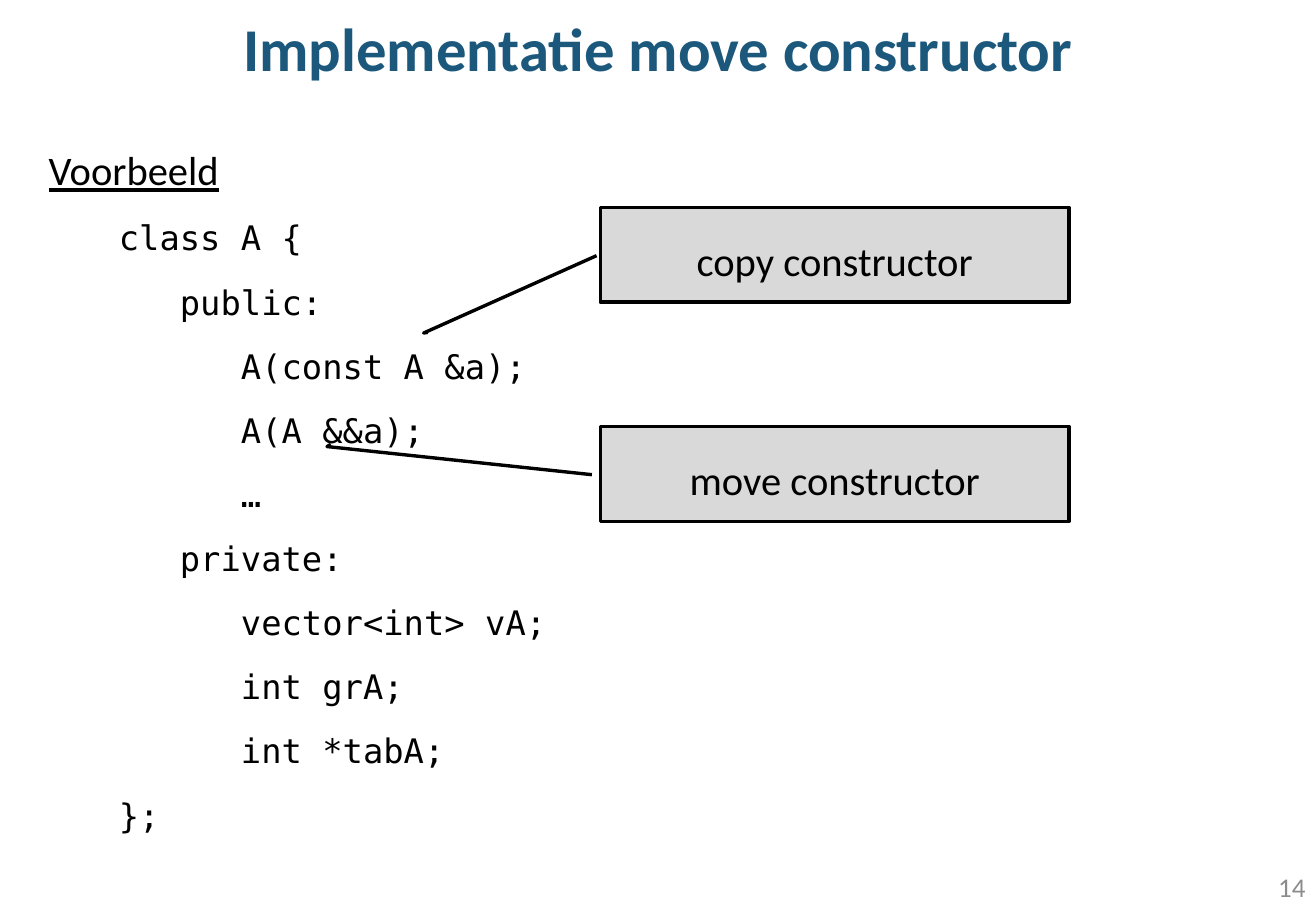
from dataclasses import dataclass

import pptx
import pptx.dml.color
import pptx.enum.shapes
import pptx.enum.text
import pptx.oxml.xmlchemy
import pptx.util
from lxml import etree
from pptx.oxml.ns import qn

Cm, Pt = pptx.util.Cm, pptx.util.Pt
RGB = pptx.dml.color.RGBColor.from_string
ALIGN = pptx.enum.text.PP_ALIGN
MIDDLE = pptx.enum.text.MSO_ANCHOR.MIDDLE


@dataclass(frozen=True)
class Theme:
    text_font: str = "Calibri"
    code_font: str = "DejaVu Sans Mono"
    heading: str = "1B587C"
    ink: str = "000000"
    muted: str = "8C8C8C"
    callout_fill: str = "D9D9D9"
    title_size: int = 36
    text_size: int = 24
    code_size: int = 20
    number_size: int = 16
    outline: int = 2


CODE = """class A {
   public:
      A(const A &a);
      A(A &&a);
      …
   private:
      vector<int> vA;
      int grA;
      int *tabA;
};"""

# Label, top in cm, and the pointer as y, x fractions of the box
CALLOUTS = [
    ("copy constructor", 4.34, (0.509, -0.008, 1.326, -0.377, 1.319, -0.368)),
    ("move constructor", 8.92, (0.509, -0.018, 0.212, -0.583, 0.189, -0.575)),
]


class SlideBuilder:
    def __init__(self, slide, theme):
        self.slide = slide
        self.theme = theme

    def place(self, shape, left, top, width, height):
        shape.left, shape.top = Cm(left), Cm(top)
        shape.width, shape.height = Cm(width), Cm(height)

    def style(self, paragraph, size, color, font=None, align=ALIGN.LEFT,
              spacing=None, before=0):
        paragraph.alignment = align
        paragraph.line_spacing = spacing
        paragraph.space_before = Pt(before)
        paragraph.font.name = font or self.theme.text_font
        paragraph.font.size = Pt(size)
        paragraph.font.color.rgb = RGB(color)

    def remove_bullet(self, paragraph, indent):
        properties = paragraph._p.get_or_add_pPr()
        properties.set("marL", str(Cm(indent)))
        properties.set("indent", "0")
        etree.SubElement(properties, qn("a:buNone"))

    def title(self, text):
        title = self.slide.shapes.title
        self.place(title, 0, 0, 27.51, 2.11)
        frame = title.text_frame
        frame.text = text
        frame.vertical_anchor = MIDDLE
        frame.auto_size = pptx.enum.text.MSO_AUTO_SIZE.NONE
        heading = frame.paragraphs[0]
        self.style(heading, self.theme.title_size, self.theme.heading,
                   align=ALIGN.CENTER, spacing=0.96)
        heading.font.bold = True

    def code_example(self, caption, code):
        """Fill the body with an underlined caption and indented code lines."""
        body = self.slide.placeholders[1]
        self.place(body, 0.76, 2.51, 26.01, 15.6)
        frame = body.text_frame
        frame.auto_size = pptx.enum.text.MSO_AUTO_SIZE.NONE
        frame.text = "\n".join([caption, code])
        caption_line, *code_lines = frame.paragraphs
        self.remove_bullet(caption_line, 0)
        self.style(caption_line, self.theme.text_size, self.theme.ink,
                   spacing=Pt(40))
        caption_line.font.underline = True
        for code_line in code_lines:
            self.remove_bullet(code_line, 1.47)
            self.style(code_line, self.theme.code_size, self.theme.ink,
                       self.theme.code_font, spacing=Pt(32), before=6)

    def callout(self, label, top, pointer):
        callout = self.slide.shapes.add_shape(
            pptx.enum.shapes.MSO_SHAPE.LINE_CALLOUT_2,
            Cm(12.55), Cm(top), Cm(9.8), Cm(1.98))
        for index, fraction in enumerate(pointer):
            callout.adjustments[index] = fraction
        callout.shadow.inherit = False
        callout.fill.solid()
        callout.fill.fore_color.rgb = RGB(self.theme.callout_fill)
        callout.line.color.rgb = RGB(self.theme.ink)
        callout.line.width = Pt(self.theme.outline)
        frame = callout.text_frame
        frame.text = label
        frame.vertical_anchor = MIDDLE
        self.style(frame.paragraphs[0], self.theme.text_size, self.theme.ink,
                   align=ALIGN.CENTER, spacing=Pt(35))

    def page_number(self, number):
        box = self.slide.shapes.add_textbox(
            Cm(21.11), Cm(18.03), Cm(6.43), Cm(1.02))
        frame = box.text_frame
        frame.word_wrap = True
        frame.vertical_anchor = MIDDLE
        frame.text = str(number)
        self.style(frame.paragraphs[0], self.theme.number_size,
                   self.theme.muted, align=ALIGN.RIGHT)


def main():
    presentation = pptx.Presentation()
    presentation.slide_width = Cm(27.51)
    presentation.slide_height = Cm(19.05)
    slide = presentation.slides.add_slide(presentation.slide_layouts[1])
    builder = SlideBuilder(slide, Theme())
    builder.title("Implementatie move constructor")
    builder.code_example("Voorbeeld", CODE)
    for label, top, pointer in CALLOUTS:
        builder.callout(label, top, pointer)
    builder.page_number(14)
    presentation.save("out.pptx")


if __name__ == "__main__":
    main()
